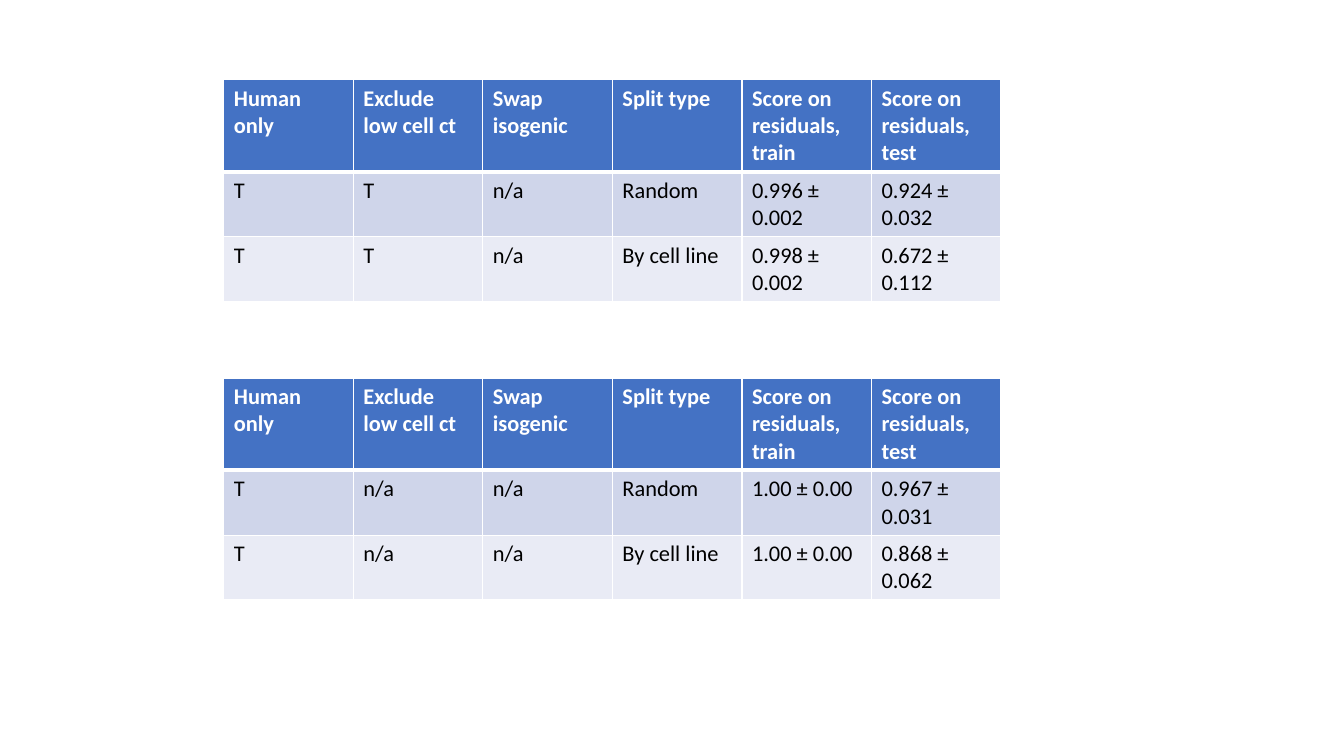
from dataclasses import dataclass

from lxml import etree
from pptx import Presentation, util as u
from pptx.dml.color import RGBColor
from pptx.oxml import ns

# Content
HEADERS = ["Human only", "Exclude low cell ct", "Swap isogenic", "Split type",
           "Score on residuals,\ntrain", "Score on residuals,\ntest"]
LOW_COUNT_EXCLUDED = [
    ["T", "T", "n/a", "Random", "0.996 ± 0.002", "0.924 ± 0.032"],
    ["T", "T", "n/a", "By cell line", "0.998 ± 0.002", "0.672 ± 0.112"],
]
LOW_COUNT_NOT_APPLICABLE = [
    ["T", "n/a", "n/a", "Random", "1.00 ± 0.00", "0.967 ± 0.031"],
    ["T", "n/a", "n/a", "By cell line", "1.00 ± 0.00", "0.868 ± 0.062"],
]
SCORE_TABLES = [(0.79, LOW_COUNT_EXCLUDED), (3.75, LOW_COUNT_NOT_APPLICABLE)]


@dataclass(frozen=True)
class Theme:
    font: str = "Calibri"
    size: int = 16
    header_fill: str = "4472C4"
    band_fills: tuple = ("CFD5EA", "E9EBF5")
    header_text: str = "FFFFFF"
    body_text: str = "000000"
    border: str = "FFFFFF"
    thin: int = 1
    thick: int = 3


THEME = Theme()

# Layout
TABLE_LEFT, TABLE_WIDTH = u.Inches(2.22), u.Inches(7.71)
HEADER_HEIGHT, ROW_HEIGHT = u.Inches(0.89), u.Inches(0.64)


def add_border(cell, side, points):
    properties = cell._tc.get_or_add_tcPr()
    line = etree.SubElement(properties, ns.qn(f"a:ln{side}"), w=str(u.Pt(points)))
    fill = etree.SubElement(line, ns.qn("a:solidFill"))
    etree.SubElement(fill, ns.qn("a:srgbClr"), val=THEME.border)


def format_cell(cell, content, row_number):
    is_header = row_number == 0
    # The heavy rule lies between the header and the first row
    widths = {"L": THEME.thin, "R": THEME.thin,
              "T": THEME.thick if row_number == 1 else THEME.thin,
              "B": THEME.thick if is_header else THEME.thin}
    for side, points in widths.items():
        add_border(cell, side, points)
    band = THEME.band_fills[(row_number - 1) % len(THEME.band_fills)]
    cell.fill.solid()
    cell.fill.fore_color.rgb = RGBColor.from_string(
        THEME.header_fill if is_header else band)

    cell.text_frame.text = content
    for paragraph in cell.text_frame.paragraphs:
        for run in paragraph.runs:
            run.font.name = THEME.font
            run.font.size = u.Pt(THEME.size)
            run.font.bold = is_header
            run.font.color.rgb = RGBColor.from_string(
                THEME.header_text if is_header else THEME.body_text)


def add_score_table(slide, top, results):
    rows = [HEADERS, *results]
    height = HEADER_HEIGHT + ROW_HEIGHT * len(results)
    table = slide.shapes.add_table(len(rows), len(HEADERS), TABLE_LEFT,
                                   u.Inches(top), TABLE_WIDTH, height).table
    for row_number, contents in enumerate(rows):
        table.rows[row_number].height = ROW_HEIGHT if row_number else HEADER_HEIGHT
        for column_number, content in enumerate(contents):
            format_cell(table.cell(row_number, column_number), content, row_number)


# Slide
presentation = Presentation()
presentation.slide_width = u.Inches(13.33)
presentation.slide_height = u.Inches(7.5)
blank_layout = presentation.slide_layouts.get_by_name("Blank")
slide = presentation.slides.add_slide(blank_layout)

for top, results in SCORE_TABLES:
    add_score_table(slide, top, results)

presentation.save("out.pptx")
